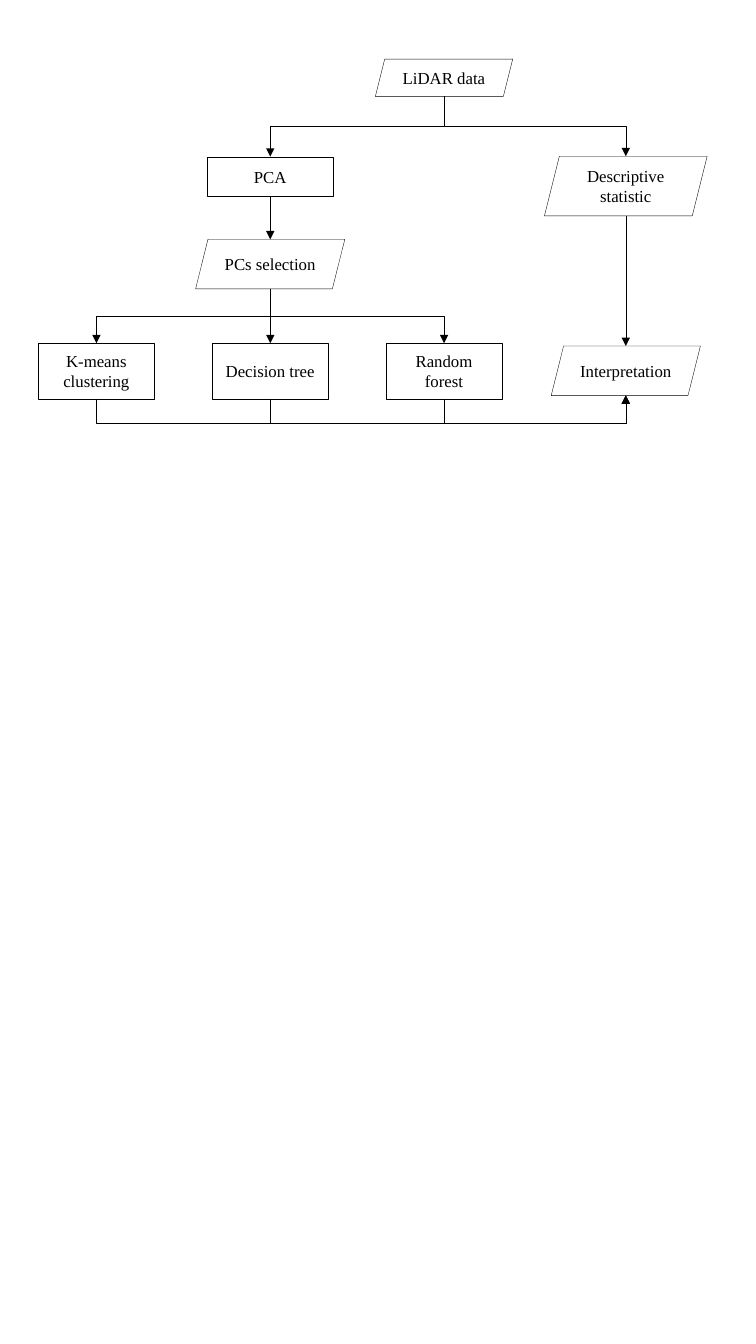
from dataclasses import dataclass

from lxml import etree
from pptx import Presentation
from pptx.dml.color import RGBColor
from pptx.enum.shapes import MSO_CONNECTOR, MSO_SHAPE
from pptx.enum.text import MSO_ANCHOR, PP_ALIGN
from pptx.oxml.ns import qn
from pptx.util import Cm, Pt

BLACK = RGBColor(0x00, 0x00, 0x00)
WHITE = RGBColor(0xFF, 0xFF, 0xFF)
PROCESS = MSO_SHAPE.RECTANGLE
DATA = MSO_SHAPE.PARALLELOGRAM
STRAIGHT = MSO_CONNECTOR.STRAIGHT
ELBOW = MSO_CONNECTOR.ELBOW
MIDDLE = MSO_ANCHOR.MIDDLE
CENTER = PP_ALIGN.CENTER

MODEL_COLUMNS = [2.43 + 4.38 * column for column in range(3)]
PCA_COLUMN, DATA_COLUMN = MODEL_COLUMNS[1:]
STATISTIC_COLUMN = 15.77
MODEL_TOP = 8.65
RETURN_LEVEL = 10.67


@dataclass
class Flowchart:
    """Draws flowchart boxes and arrows in one style on a slide."""

    page: object
    font: str = "Times New Roman"
    size: Pt = Pt(12)
    weight: Pt = Pt(0.25)

    def box(self, kind, text, center, top, width, height):
        """Add a centred text box shape around a column centre."""
        box = self.page.shapes.add_shape(
            kind, Cm(center - width / 2), Cm(top), Cm(width), Cm(height))
        box.shadow.inherit = False
        box.fill.solid()
        box.fill.fore_color.rgb = WHITE
        box.line.color.rgb = BLACK
        box.line.width = self.weight
        frame = box.text_frame
        frame.word_wrap = True
        frame.vertical_anchor = MIDDLE
        para = frame.paragraphs[0]
        para.alignment = CENTER
        span = para.add_run()
        span.text = text
        span.font.name = self.font
        span.font.size = self.size
        span.font.color.rgb = BLACK
        return box

    def arrow(self, source, target, upward=False, level=None):
        """Link the bottom of a source to the top or bottom of a target."""
        x1, y1 = source.left + source.width // 2, source.top + source.height
        x2 = target.left + target.width // 2
        y2 = target.top + (target.height if upward else 0)
        straight = abs(x2 - x1) < Cm(0.02)
        if straight:
            x2 = x1
        link = self.page.shapes.add_connector(
            STRAIGHT if straight else ELBOW, x1, y1, x2, y2)
        link.line.color.rgb = BLACK
        link.line.width = self.weight
        properties = link.line._get_or_add_ln()
        etree.SubElement(properties, qn("a:tailEnd"), type="triangle")
        etree.SubElement(link._element.spPr, qn("a:effectLst"))
        if not straight:
            self.turn(link, x1, y1, x2, y2, level)

    def turn(self, link, x1, y1, x2, y2, level):
        """Rotate an elbow so that it leaves and arrives vertically."""
        rightward, upward = x2 > x1, y2 < y1
        link.width, link.height = abs(y2 - y1), abs(x2 - x1)
        link.left = (x1 + x2 - link.width) // 2
        link.top = (y1 + y2 - link.height) // 2
        frame = link._element.spPr.find(qn("a:xfrm"))
        frame.set("rot", str((270 if rightward and not upward else 90) * 60000))
        frame.set("flipH", str(int(rightward)))
        frame.set("flipV", str(int(rightward and upward)))
        bend = 0.5 if level is None else (Cm(level) - y1) / (y2 - y1)
        geometry = link._element.spPr.find(qn("a:prstGeom"))
        guides = geometry.find(qn("a:avLst"))
        etree.SubElement(guides, qn("a:gd"), name="adj1",
                         fmla=f"val {round(bend * 100000)}")


def main():
    """Build the LiDAR analysis flowchart."""
    deck = Presentation()
    deck.slide_width, deck.slide_height = Cm(19.05), Cm(33.87)
    chart = Flowchart(deck.slides.add_slide(deck.slide_layouts[6]))

    lidar = chart.box(DATA, "LiDAR data", DATA_COLUMN, 1.49, 3.46, 0.94)
    pca = chart.box(PROCESS, "PCA", PCA_COLUMN, 3.95, 3.2, 0.99)
    statistic = chart.box(DATA, "Descriptive statistic",
                          STATISTIC_COLUMN, 3.94, 4.1, 1.5)
    selection = chart.box(DATA, "PCs selection", PCA_COLUMN, 6.03, 3.76, 1.25)
    names = ["K-means clustering", "Decision tree", "Random forest"]
    models = [chart.box(PROCESS, name, column, MODEL_TOP, 2.93, 1.4)
              for name, column in zip(names, MODEL_COLUMNS)]
    interpretation = chart.box(DATA, "Interpretation",
                               STATISTIC_COLUMN, 8.72, 3.76, 1.25)

    chart.arrow(lidar, pca)
    chart.arrow(lidar, statistic)
    chart.arrow(pca, selection)
    chart.arrow(statistic, interpretation)
    for model in models:
        chart.arrow(selection, model)
        chart.arrow(model, interpretation, upward=True, level=RETURN_LEVEL)

    deck.save("out.pptx")


if __name__ == "__main__":
    main()
